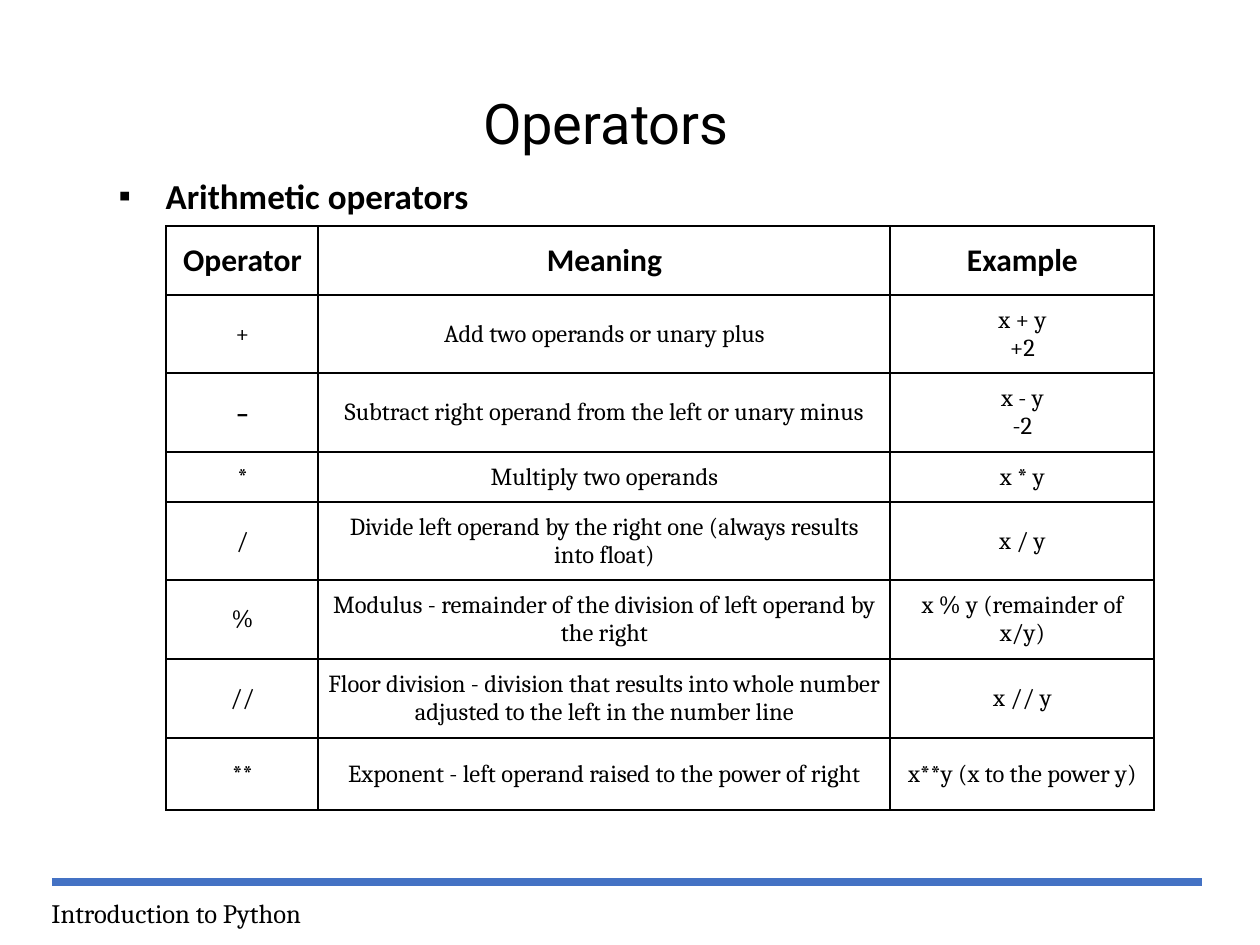
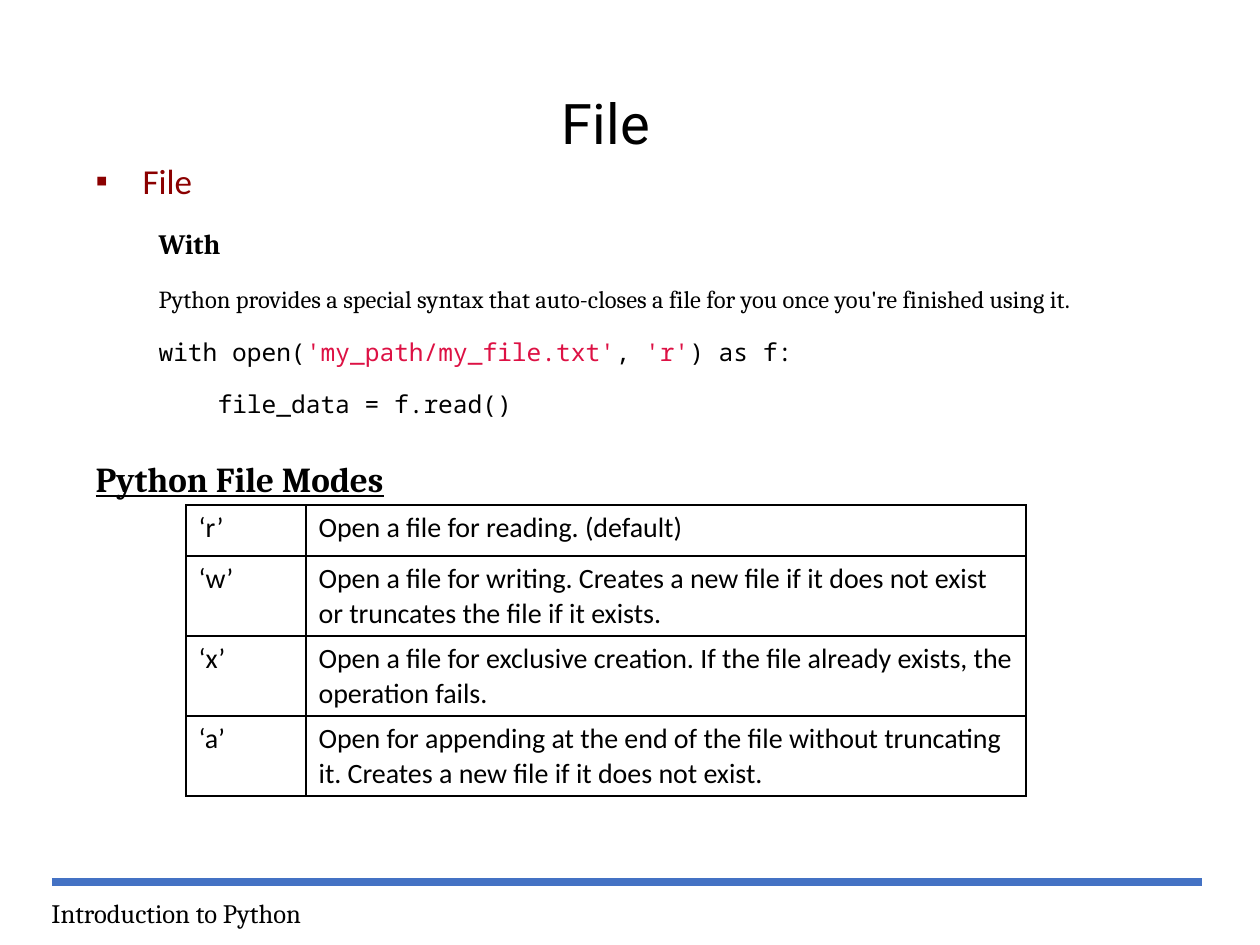
import pptx
import pptx.util
import pptx.dml.color
import pptx.enum.shapes
import pptx.enum.text
import pptx.oxml.ns
import lxml.etree

SCALE = 914400 / 126  # EMU for one pixel
COLORS = {"text": "000000", "band": "4472C4", "topic": "8B0000", "string": "DD1144"}
HEADING, SERIF, TITLE, CODE = "Calibri", "Cambria", "Roboto", "Noto Sans Mono"
TITLE_CENTER = 606
ALIGN = pptx.enum.text.PP_ALIGN
ANCHOR = pptx.enum.text.MSO_ANCHOR


def px(length):
    return pptx.util.Emu(round(length * SCALE))


def rgb(name):
    return pptx.dml.color.RGBColor.from_string(COLORS[name])


def add_child(parent, tag, **attributes):
    return lxml.etree.SubElement(parent, pptx.oxml.ns.qn(tag), attributes)


def place(shape, box):
    shape.left, shape.top, shape.width, shape.height = map(px, box)


def set_font(font, name, size, color="text", bold=False):
    font.name, font.size, font.bold = name, pptx.util.Pt(size), bold
    font.color.rgb = rgb(color)


def set_insets(target, insets):
    (target.margin_left, target.margin_top,
     target.margin_right, target.margin_bottom) = map(px, insets)


# Shared parts: title, band and footer
def add_title(slide, text, box):
    title = slide.shapes.title
    place(title, box)
    frame = title.text_frame
    frame.text = text
    frame.word_wrap = False
    frame.auto_size = pptx.enum.text.MSO_AUTO_SIZE.NONE
    frame.vertical_anchor = ANCHOR.MIDDLE
    frame.paragraphs[0].alignment = ALIGN.CENTER
    set_font(frame.paragraphs[0].font, TITLE, 32)


def add_footer(slide, box):
    left, top, width, height = box
    band = slide.shapes.add_connector(
        pptx.enum.shapes.MSO_CONNECTOR.STRAIGHT,
        px(left), px(top), px(left + width), px(top))
    band.line.color.rgb = rgb("band")
    band.line.width = pptx.util.Pt(4.5)
    add_child(band._element.spPr, "a:effectLst")

    label = slide.shapes.add_textbox(px(left - 13), px(top + 9), px(369), px(height - 9))
    label.text_frame.word_wrap = True
    paragraph = label.text_frame.paragraphs[0]
    paragraph.text = "Introduction to Python"
    set_font(paragraph.font, SERIF, 15.2)


def add_base_slide(presentation, title, title_width):
    slide = presentation.slides.add_slide(presentation.slide_layouts[1])
    add_title(slide, title, (TITLE_CENTER - title_width / 2, 82, title_width, 81))
    add_footer(slide, (52, 882, 1150, 54))
    return slide


# Body list
def open_body(slide, box):
    body = slide.placeholders[1]
    place(body, box)
    body.text_frame.word_wrap = True
    body.text_frame.auto_size = pptx.enum.text.MSO_AUTO_SIZE.NONE
    body.text_frame.vertical_anchor = ANCHOR.TOP
    return body.text_frame


def format_paragraph(paragraph, margin, before, spacing, bullet=False, level=0):
    properties = paragraph._p.get_or_add_pPr()
    hanging = margin if bullet else 0
    properties.set("marL", str(px(margin)))
    properties.set("indent", str(-px(hanging)))
    if bullet:
        add_child(properties, "a:buChar", char="\u25aa")
    else:
        add_child(properties, "a:buNone")
    paragraph.level = level
    paragraph.alignment = ALIGN.JUSTIFY
    paragraph.line_spacing = spacing
    paragraph.space_before = pptx.util.Pt(before)
    paragraph.space_after = pptx.util.Pt(0)


def add_topic(frame, text, spacing, color="text", bold=False):
    paragraph = frame.paragraphs[0]
    paragraph.text = text
    format_paragraph(paragraph, 47, 10, spacing, bullet=True)
    set_font(paragraph.font, HEADING, 20, color, bold)


def add_detail(frame, parts, name, size, margin=63, bold=False):
    paragraph = frame.add_paragraph()
    format_paragraph(paragraph, margin, 5, 1.5, level=1)
    set_font(paragraph.font, name, size, bold=bold)
    for text, color in parts:
        run = paragraph.add_run()
        run.text = text
        if color != "text":
            run.font.color.rgb = rgb(color)


# Tables
def add_borders(cell):
    properties = cell._tc.get_or_add_tcPr()
    for side in ("a:lnL", "a:lnR", "a:lnT", "a:lnB"):
        line = add_child(properties, side, w=str(pptx.util.Pt(1)))
        fill = add_child(line, "a:solidFill")
        add_child(fill, "a:srgbClr", val=COLORS["text"])


def add_grid(slide, position, columns, heights, rows, style_cell):
    left, top = position
    table = slide.shapes.add_table(
        len(rows), len(columns), px(left), px(top),
        px(sum(columns)), px(sum(heights))).table
    table.first_row = table.horz_banding = False
    for column, width in zip(table.columns, columns):
        column.width = px(width)
    for row_index, (height, texts) in enumerate(zip(heights, rows)):
        table.rows[row_index].height = px(height)
        for column_index, text in enumerate(texts):
            cell = table.cell(row_index, column_index)
            add_borders(cell)
            cell.fill.background()
            paragraph = cell.text_frame.paragraphs[0]
            paragraph.text = text
            style_cell(cell, paragraph, row_index)


def style_operator_cell(cell, paragraph, row_index):
    cell.vertical_anchor = ANCHOR.MIDDLE
    paragraph.alignment = ALIGN.CENTER
    if row_index == 0:
        set_insets(cell, (10, 15, 9, 15))
        set_font(paragraph.font, HEADING, 18, bold=True)
    else:
        set_insets(cell, (10, 10, 9, 9))
        set_font(paragraph.font, SERIF, 24 if paragraph.text == "-" else 14)


def style_mode_cell(cell, paragraph, row_index):
    set_insets(cell, (12.6, 6.3, 12.6, 6.3))
    paragraph.alignment = ALIGN.LEFT
    set_font(paragraph.font, HEADING, 16)


OPERATORS = [
    ("Operator", "Meaning", "Example"),
    ("+", "Add two operands or unary plus", "x + y\v+2"),
    ("-", "Subtract right operand from the left or unary minus", "x - y\v-2"),
    ("*", "Multiply two operands", "x * y"),
    ("/", "Divide left operand by the right one (always results into float)", "x / y"),
    ("%", "Modulus - remainder of the division of left operand by the right",
     "x % y (remainder of x/y)"),
    ("//", "Floor division - division that results into whole number adjusted "
     "to the left in the number line", "x // y"),
    ("**", "Exponent - left operand raised to the power of right",
     "x**y (x to the power y)"),
]
FILE_MODES = [
    ("‘r’", "Open a file for reading. (default)"),
    ("‘w’", "Open a file for writing. Creates a new file if it does not exist "
     "or truncates the file if it exists."),
    ("‘x’", "Open a file for exclusive creation. If the file already exists, "
     "the operation fails."),
    ("‘a’", "Open for appending at the end of the file without truncating it. "
     "Creates a new file if it does not exist."),
]


def build_operators_slide(presentation):
    slide = add_base_slide(presentation, "Operators", 276)
    frame = open_body(slide, (106, 168, 1086, 600))
    add_topic(frame, "Arithmetic operators", 1, bold=True)
    add_grid(slide, (166, 226), (152, 572, 264),
             (69, 78, 79, 50, 78, 79, 79, 72), OPERATORS, style_operator_cell)


def build_file_slide(presentation):
    slide = add_base_slide(presentation, "File", 118)
    frame = open_body(slide, (83, 132, 1086, 708))
    add_topic(frame, "File", 1.5, color="topic")
    add_detail(frame, [("With", "text")], SERIF, 16, bold=True)
    add_detail(frame, [("Python provides a special syntax that auto-closes a file "
                        "for you once you're finished using it.", "text")], SERIF, 14)
    add_detail(frame, [("with open(", "text"), ("'my_path/my_file.txt'", "string"),
                       (", ", "text"), ("'r'", "string"), (") as f:", "text")], CODE, 14)
    add_detail(frame, [("file_data = f.read()", "text")], CODE, 14, margin=122)

    # Heading over the table of modes
    heading = frame.add_paragraph()
    heading.text = "Python File Modes"
    format_paragraph(heading, 0, 10, 1.5)
    set_font(heading.font, SERIF, 20, bold=True)
    heading.font.underline = True
    add_grid(slide, (186, 505), (120, 720), (51, 80, 80, 80),
             FILE_MODES, style_mode_cell)


presentation = pptx.Presentation()
presentation.slide_width, presentation.slide_height = px(1260), px(945)
build_operators_slide(presentation)
build_file_slide(presentation)
presentation.save("out.pptx")
